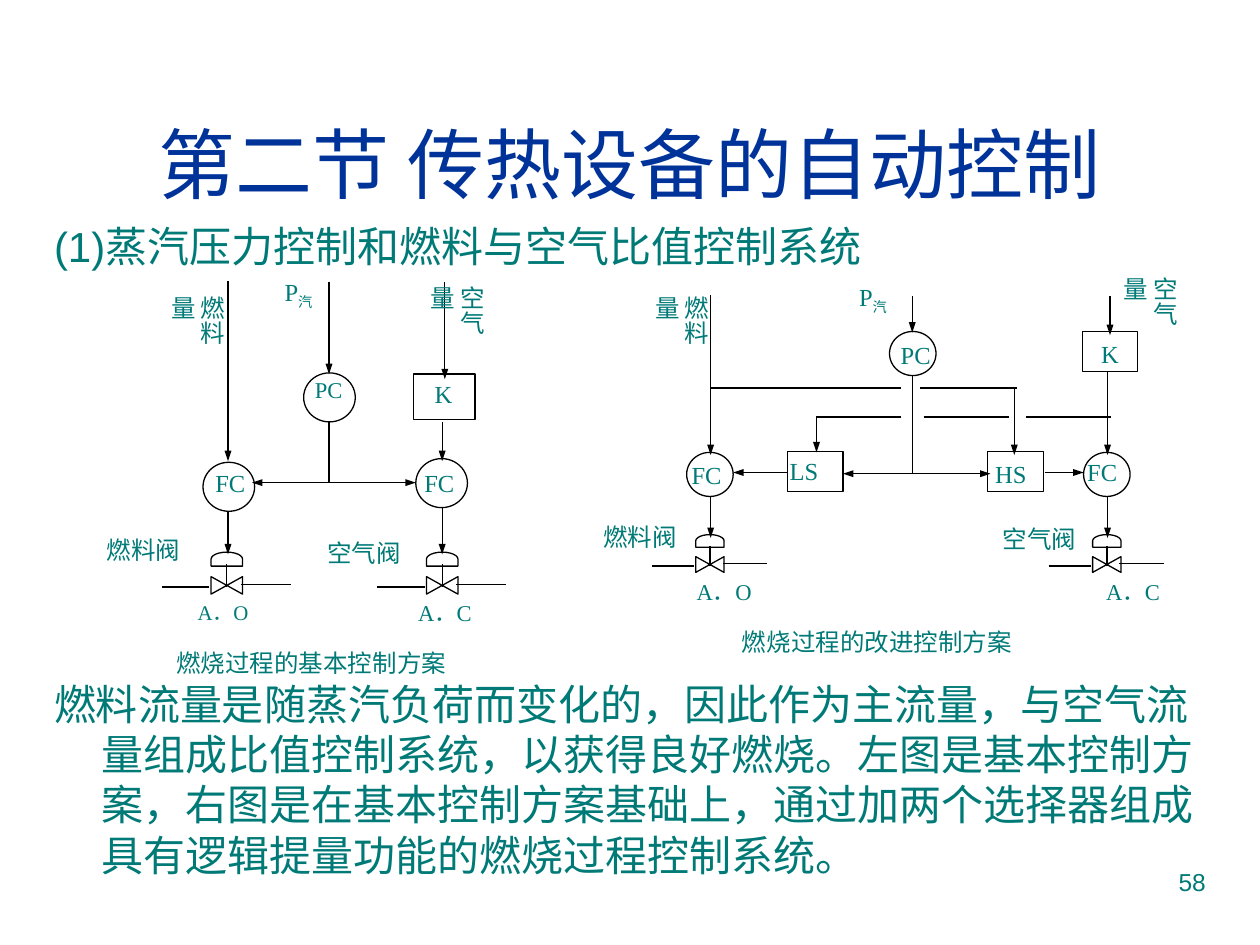
from typing import NamedTuple

from pptx import Presentation
from pptx.dml.color import RGBColor
from pptx.enum.shapes import MSO_CONNECTOR, MSO_SHAPE as Kind
from pptx.enum.text import MSO_ANCHOR as Anchor, PP_ALIGN as Align
from pptx.oxml.ns import qn
from pptx.util import Pt
from lxml.etree import SubElement

INK, TEAL, NAVY, WHITE = "000000", "007A77", "003399", "FFFFFF"


class Node(NamedTuple):
    kind: Kind
    x: float
    y: float
    w: float
    h: float
    turn: int = 0


class Flow(NamedTuple):
    x1: float
    y1: float
    x2: float
    y2: float
    arrows: str = ""


class Valve(NamedTuple):
    x: float
    y: float
    scale: float


class Label(NamedTuple):
    text: str
    x: float
    y: float
    w: float = 72
    h: float = 30
    size: float = 14
    vertical: bool = False
    subscript: str = ""


def colour(code: str) -> RGBColor:
    return RGBColor.from_string(code)


def add_text(slide, text: str, x: float, y: float, w: float, h: float, *, size: float = 14,
             font: str = "Times New Roman", ink: str = TEAL, align=Align.LEFT, anchor=Anchor.TOP,
             vertical: bool = False, subscript: str = "", hanging: float = 0, leading: float = 1):
    frame = slide.shapes.add_textbox(Pt(x), Pt(y), Pt(w), Pt(h)).text_frame
    frame.word_wrap = True
    frame.vertical_anchor = anchor
    side, end = (3.6, 7.2) if vertical else (7.2, 3.6)
    frame.margin_left = frame.margin_right = Pt(side)
    frame.margin_top = frame.margin_bottom = Pt(end)
    if vertical:
        frame._txBody.bodyPr.set("vert", "eaVert")
    line = frame.paragraphs[0]
    line.alignment = align
    line.line_spacing = leading
    if hanging:
        properties = line._p.get_or_add_pPr()
        properties.set("marL", str(Pt(hanging)))
        properties.set("indent", str(-Pt(hanging)))
    for part in filter(None, (text, subscript)):
        run = line.add_run()
        run.text = part
        run.font.size = Pt(size)
        run.font.name = font
        run.font.color.rgb = colour(ink)
    if subscript:
        run._r.get_or_add_rPr().set("baseline", "-25000")


def draw_node(slide, node: Node):
    shape = slide.shapes.add_shape(node.kind, Pt(node.x), Pt(node.y), Pt(node.w), Pt(node.h))
    shape.rotation = node.turn
    shape.shadow.inherit = False
    shape.fill.solid()
    shape.fill.fore_color.rgb = colour(WHITE)
    shape.line.color.rgb = colour(INK)
    shape.line.width = Pt(0.75)


def draw_flow(slide, flow: Flow):
    pipe = slide.shapes.add_connector(
        MSO_CONNECTOR.STRAIGHT, Pt(flow.x1), Pt(flow.y1), Pt(flow.x2), Pt(flow.y2))
    pipe.line.color.rgb = colour(INK)
    pipe.line.width = Pt(0.75)
    for end in flow.arrows.split():
        SubElement(pipe.line._get_or_add_ln(), qn(f"a:{end}"), type="triangle", w="sm", len="med")
    SubElement(pipe._element.spPr, qn("a:effectLst"))


def draw_valve(slide, valve: Valve):
    x, y, s = valve
    for kind, rise, w in ((Kind.FLOWCHART_COLLATE, 0, 10), (Kind.FLOWCHART_DELAY, 15, 8)):
        draw_node(slide, Node(kind, x - w * s / 2, y - (rise + 9) * s, w * s, 18 * s, 270))
    draw_flow(slide, Flow(x, y + s, x, y - 12 * s))
    draw_flow(slide, Flow(x - 37 * s, y + s, x - 10 * s, y + s))
    draw_flow(slide, Flow(x + 8 * s, y - 0.5 * s, x + 36.5 * s, y - 0.5 * s))


def draw_label(slide, label: Label):
    add_text(slide, label.text, label.x, label.y, label.w, label.h, size=label.size,
             vertical=label.vertical, subscript=label.subscript,
             leading=1 if label.size == 14 else 0.9)


TO, BOTH = "tailEnd", "headEnd tailEnd"
BASIC_LOOP, IMPROVED_LOOP = (29.5, 28), (26.6, 25.2)
SELECTOR = (31.7, 23)

NODES = [
    Node(Kind.OVAL, 116, 264.2, *BASIC_LOOP),
    Node(Kind.OVAL, 237.6, 262.1, *BASIC_LOOP),
    Node(Kind.OVAL, 173.5, 213.1, *BASIC_LOOP),
    Node(Kind.RECTANGLE, 236.2, 213.8, 35.3, 26),
    Node(Kind.OVAL, 392.4, 258.5, *IMPROVED_LOOP),
    Node(Kind.OVAL, 619.2, 258.5, *IMPROVED_LOOP),
    Node(Kind.OVAL, 508.3, 189.4, *IMPROVED_LOOP),
    Node(Kind.RECTANGLE, 618.5, 189.4, *SELECTOR),
    Node(Kind.RECTANGLE, 450, 257.8, *SELECTOR),
    Node(Kind.RECTANGLE, 564.5, 257.8, *SELECTOR),
]
VALVES = [Valve(129.6, 334.5, 1), Valve(252.7, 334.5, 1),
          Valve(405.7, 322.6, 0.9), Valve(632.5, 322.6, 0.9)]
FLOWS = [
    Flow(188, 161.3, 188, 213.8, TO),
    Flow(130.3, 160.6, 130.3, 263.5, TO),
    Flow(130.3, 292.2, 130.3, 316.8, TO),
    Flow(252.7, 290.1, 252.7, 316.8, TO),
    Flow(252.7, 241.2, 252.7, 263.5, TO),
    Flow(254.2, 161.3, 254.2, 216.7, TO),
    Flow(144, 275.8, 237.6, 275.8, BOTH),
    Flow(188, 240.5, 188, 275.8),
    Flow(521.3, 169.2, 521.3, 190.1, TO),
    Flow(406.1, 283.5, 406.1, 307.4, TO),
    Flow(406.1, 168.5, 406.1, 260, TO),
    Flow(632.9, 283.5, 632.9, 307.4, TO),
    Flow(632.9, 212.4, 632.9, 260, TO),
    Flow(634.3, 169.2, 634.3, 191.5, TO),
    Flow(481.7, 270.7, 566, 270.7, BOTH),
    Flow(521.3, 214.6, 521.3, 270.7),
    Flow(450, 270, 419, 270, TO),
    Flow(596.9, 270, 619.2, 270, TO),
    Flow(466.6, 237.6, 466.6, 258.5, TO),
    Flow(579.6, 222.5, 579.6, 260, TO),
    Flow(406.1, 221.8, 514.8, 221.8),
    Flow(525.6, 221.8, 581, 221.8),
    Flow(466.6, 238.3, 514.8, 238.3),
    Flow(527.8, 238.3, 576.7, 238.3),
    Flow(586.1, 238.3, 635, 238.3),
]
LABELS = [
    Label("燃烧过程的基本控制方案", 93.6, 366.5, 187.2),
    Label("空气量", 252, 156.2, 29.5, 51.1, vertical=True),
    Label("燃料量", 99.4, 162, 33.8, 50.4, vertical=True),
    Label("P", 155.5, 154.8, 46, subscript="汽"),
    Label("K", 241.2, 213.1, 30.2),
    Label("PC", 172.8, 213.1, 37.4, size=12.9),
    Label("FC", 235.4, 264.2, 45.4),
    Label("FC", 116, 264.2, 45.4),
    Label("空气阀", 180, 303.8),
    Label("燃料阀", 54, 302.4),
    Label("A．O", 105.8, 340.6, 51.8, size=11.9),
    Label("A．C", 231.8, 340.6, 51.8, size=12.9),
    Label("燃料量", 377.3, 162, 32.4, 55.4, vertical=True),
    Label("空气量", 649.4, 151.2, 28.1, 51.1, vertical=True),
    Label("P", 483.8, 157.7, 51.8, subscript="汽"),
    Label("K", 622.1, 190.1, 38.9),
    Label("FC", 614.2, 257.8, 41),
    Label("PC", 507.6, 190.8, 40.3),
    Label("FC", 388.1, 259.2, 41),
    Label("空气阀", 565.9, 295.9, 64.8),
    Label("LS", 444.2, 257, 40.3),
    Label("HS", 561.6, 258.5, 41.8),
    Label("燃料阀", 337.7, 294.5, 64.8),
    Label("燃烧过程的改进控制方案", 416.9, 355, 185.8),
    Label("A．O", 391, 328.3, 54, size=12.9),
    Label("A．C", 625, 328.3, 52.6, size=12.9),
]


def main():
    """Build the boiler combustion control slide."""
    deck = Presentation()
    deck.slide_width, deck.slide_height = Pt(720), Pt(540)
    slide = deck.slides.add_slide(deck.slide_layouts[6])
    add_text(slide, "58", 516.2, 491.8, 180, 37.4, font="Arial", align=Align.RIGHT)
    add_text(slide, "第二节 传热设备的自动控制", 23.8, 48.2, 672.5, 90, size=44, font="Arial",
             ink=NAVY, align=Align.CENTER, anchor=Anchor.MIDDLE)
    add_text(slide, "(1)蒸汽压力控制和燃料与空气比值控制系统", 23.8, 122.4, 672.5, 36,
             size=24, font="Arial", hanging=27)
    add_text(slide, "燃料流量是随蒸汽负荷而变化的，因此作为主流量，与空气流量组成比值控制系统，"
             "以获得良好燃烧。左图是基本控制方案，右图是在基本控制方案基础上，"
             "通过加两个选择器组成具有逻辑提量功能的燃烧过程控制系统。",
             23.8, 384, 672.5, 124, size=24, font="Arial", hanging=27)
    for draw, items in ((draw_node, NODES), (draw_valve, VALVES),
                        (draw_flow, FLOWS), (draw_label, LABELS)):
        for item in items:
            draw(slide, item)
    deck.save("out.pptx")


if __name__ == "__main__":
    main()
